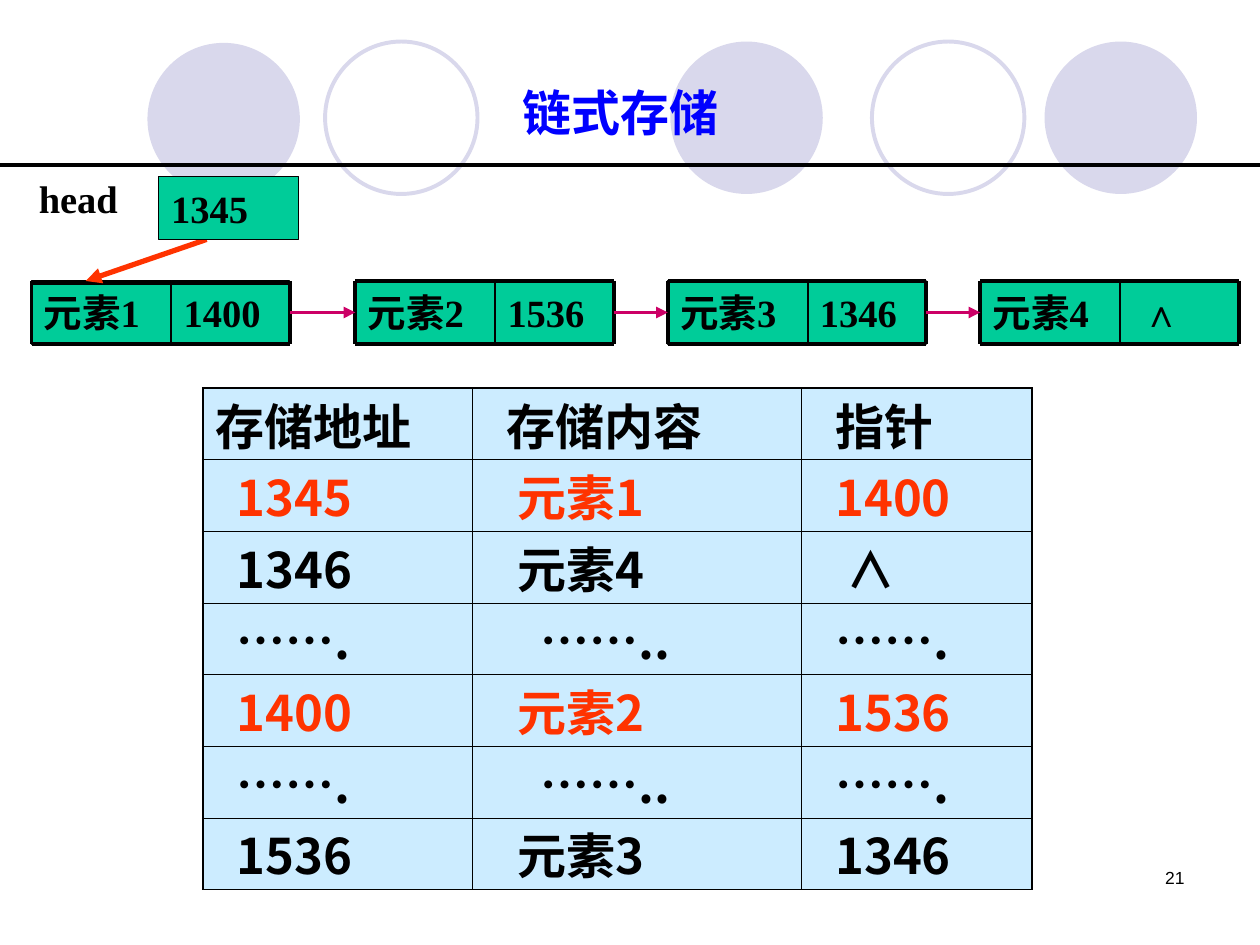
from lxml import etree
from pptx import Presentation
from pptx import util as u
from pptx.dml import color
from pptx.enum import shapes, text
from pptx.oxml import ns

CJK = "Noto Sans CJK SC"
TIMES = "Times New Roman"
BLACK, BLUE, RED, PINK = "000000", "0000FF", "FF3300", "CC0066"
GREEN, SKY, LILAC = "00CC99", "CCECFF", "D9D8EC"
NODE_FORMAT = {"size": u.Pt(22), "name": TIMES, "bold": True}
HEADING_FORMAT = {"size": u.Pt(28), "name": CJK, "bold": True}


def rgb(value):
    return color.RGBColor.from_string(value)


def add_element(parent, tag, **attributes):
    return etree.SubElement(parent, ns.qn(tag), **attributes)


class Painter:
    def __init__(self, page):
        self.page = page

    def add_words(self, frame, words, format_values, ink=BLACK, indent=0,
                  align=text.PP_ALIGN.LEFT):
        para = frame.paragraphs[0]
        para.alignment = align
        if indent:
            properties = para._p.get_or_add_pPr()
            properties.set("marL", str(u.Inches(indent)))
            properties.set("indent", "0")
        span = para.add_run()
        span.text = words
        for key, value in format_values.items():
            setattr(span.font, key, value)
        span.font.color.rgb = rgb(ink)
        add_element(span._r.get_or_add_rPr(), "a:ea", typeface=CJK)
        return para

    def label(self, place, words, format_values, ink=BLACK,
              align=text.PP_ALIGN.LEFT, anchor=text.MSO_ANCHOR.MIDDLE):
        box = self.page.shapes.add_textbox(*map(u.Inches, place))
        box.text_frame.word_wrap = True
        box.text_frame.vertical_anchor = anchor
        self.add_words(box.text_frame, words, format_values, ink, align=align)

    def circle(self, left, top, filled):
        disc = self.page.shapes.add_shape(
            shapes.MSO_SHAPE.OVAL, *map(u.Inches, (left, top, 1.21, 1.21)))
        disc.shadow.inherit = False
        if filled:
            disc.fill.solid()
            disc.fill.fore_color.rgb = rgb(LILAC)
            disc.line.fill.background()
        else:
            disc.fill.background()
            disc.line.color.rgb = rgb(LILAC)
            disc.line.width = u.Pt(2.25)

    def cell_box(self, place, words, indent=0):
        box = self.page.shapes.add_shape(
            shapes.MSO_SHAPE.RECTANGLE, *map(u.Inches, place))
        box.shadow.inherit = False
        box.fill.solid()
        box.fill.fore_color.rgb = rgb(GREEN)
        box.line.color.rgb = rgb(BLACK)
        box.line.width = u.Pt(0.75)
        box.text_frame.word_wrap = False
        box.text_frame.vertical_anchor = text.MSO_ANCHOR.MIDDLE
        self.add_words(box.text_frame, words, NODE_FORMAT, indent=indent)
        return box

    def line(self, ends, ink=BLACK, width=2.25, arrow=False):
        link = self.page.shapes.add_connector(
            shapes.MSO_CONNECTOR.STRAIGHT, *map(u.Inches, ends))
        link.line.color.rgb = rgb(ink)
        link.line.width = u.Pt(width)
        if arrow:
            outline = link._element.spPr.find(ns.qn("a:ln"))
            add_element(outline, "a:tailEnd", type="triangle")
        add_element(link._element.spPr, "a:effectLst")
        return link

    def node(self, left, words, pointer, top_edge, indent):
        middle, right, top, bottom = left + 1.11, left + 2.05, 2.23, 2.73
        address = self.cell_box((middle, top, 0.94, 0.5), pointer, indent)
        content = self.cell_box((left, top, 1.11, 0.5), words)
        for level in (top_edge, bottom):
            self.line((left, level, right, level))
        for side, width in ((left, 2.25), (middle, 1), (right, 2.25)):
            self.line((side, top, side, bottom), width=width)
        return content, address

    def border(self, cell, widths):
        properties = cell._tc.get_or_add_tcPr()
        for side, width in zip("LRTB", widths):
            edge = add_element(properties, f"a:ln{side}", w=str(u.Pt(width)))
            add_element(add_element(edge, "a:solidFill"), "a:srgbClr", val=BLACK)

    def table(self, place, columns, rows):
        frame = self.page.shapes.add_table(
            len(rows), len(columns), *map(u.Inches, place))
        grid = frame.table
        for column, width in zip(grid.columns, columns):
            column.width = u.Inches(width)
        last_row, last_column = len(rows) - 1, len(columns) - 1
        for r, row in enumerate(rows):
            for c, (words, indent, ink) in enumerate(row):
                cell = grid.cell(r, c)
                outer = (c == 0, c == last_column, r == 0, r == last_row)
                self.border(cell, [1.08 if edge else 0.45 for edge in outer])
                cell.fill.solid()
                cell.fill.fore_color.rgb = rgb(SKY)
                cell.margin_bottom = 0
                para = self.add_words(cell.text_frame, words, HEADING_FORMAT,
                                      ink, indent)
                para.line_spacing = u.Pt(37)


def main():
    deck = Presentation()
    deck.slide_width, deck.slide_height = u.Inches(10), u.Inches(7.5)
    painter = Painter(deck.slides.add_slide(deck.slide_layouts[6]))

    # Background circles and rule
    for left, top, filled in ((5.32, 0.33, True), (8.29, 0.33, True),
                              (1.17, 0.34, True), (6.92, 0.33, False),
                              (2.58, 0.33, False)):
        painter.circle(left, top, filled)
    painter.line((0, 1.31, 10, 1.31), width=2.5)

    # Slide number and title
    painter.label((7.17, 6.83, 2.33, 0.5), "21",
                  {"size": u.Pt(10), "name": "Arial"},
                  align=text.PP_ALIGN.RIGHT, anchor=text.MSO_ANCHOR.TOP)
    painter.label((3.98, 0.6, 1.89, 0.57), "链式存储", HEADING_FORMAT, BLUE,
                  align=text.PP_ALIGN.CENTER)

    # Storage table: each column has its own text indent
    offsets = (0.17, 0.26, 0.17)
    dots = (("…….", 0.17, BLACK), ("……..", 0.44, BLACK), ("…….", 0.17, BLACK))

    def record(ink, *words):
        return [(word, 0.26 if word == "∧" else offset, ink)
                for word, offset in zip(words, offsets)]

    painter.table((1.61, 3.08, 6.58, 3.98), (2.14, 2.61, 1.83), [
        (("存储地址", 0, BLACK), ("存储内容", 0.17, BLACK), ("指针", 0.17, BLACK)),
        record(RED, "1345", "元素1", "1400"),
        record(BLACK, "1346", "元素4", "∧"),
        dots,
        record(RED, "1400", "元素2", "1536"),
        dots,
        record(BLACK, "1536", "元素3", "1346"),
    ])

    # Linked nodes
    nodes = [painter.node(*values) for values in (
        (0.25, "元素1", "1400", 2.25, 0), (2.82, "元素2", "1536", 2.23, 0),
        (5.3, "元素3", "1346", 2.23, 0), (7.78, "元素4", "∧", 2.23, 0.08))]
    for (_, address), (content, _) in zip(nodes, nodes[1:]):
        link = painter.line((0, 2.48, 1, 2.48), PINK, arrow=True)
        link.begin_connect(address, 3)
        link.end_connect(content, 1)

    # Head pointer
    painter.line((1.64, 1.9, 0.68, 2.23), RED, 3, arrow=True)
    painter.cell_box((1.26, 1.4, 1.11, 0.5), "1345")
    painter.label((0.21, 1.34, 1.07, 0.47), "head", NODE_FORMAT)

    deck.save("out.pptx")


if __name__ == "__main__":
    main()
